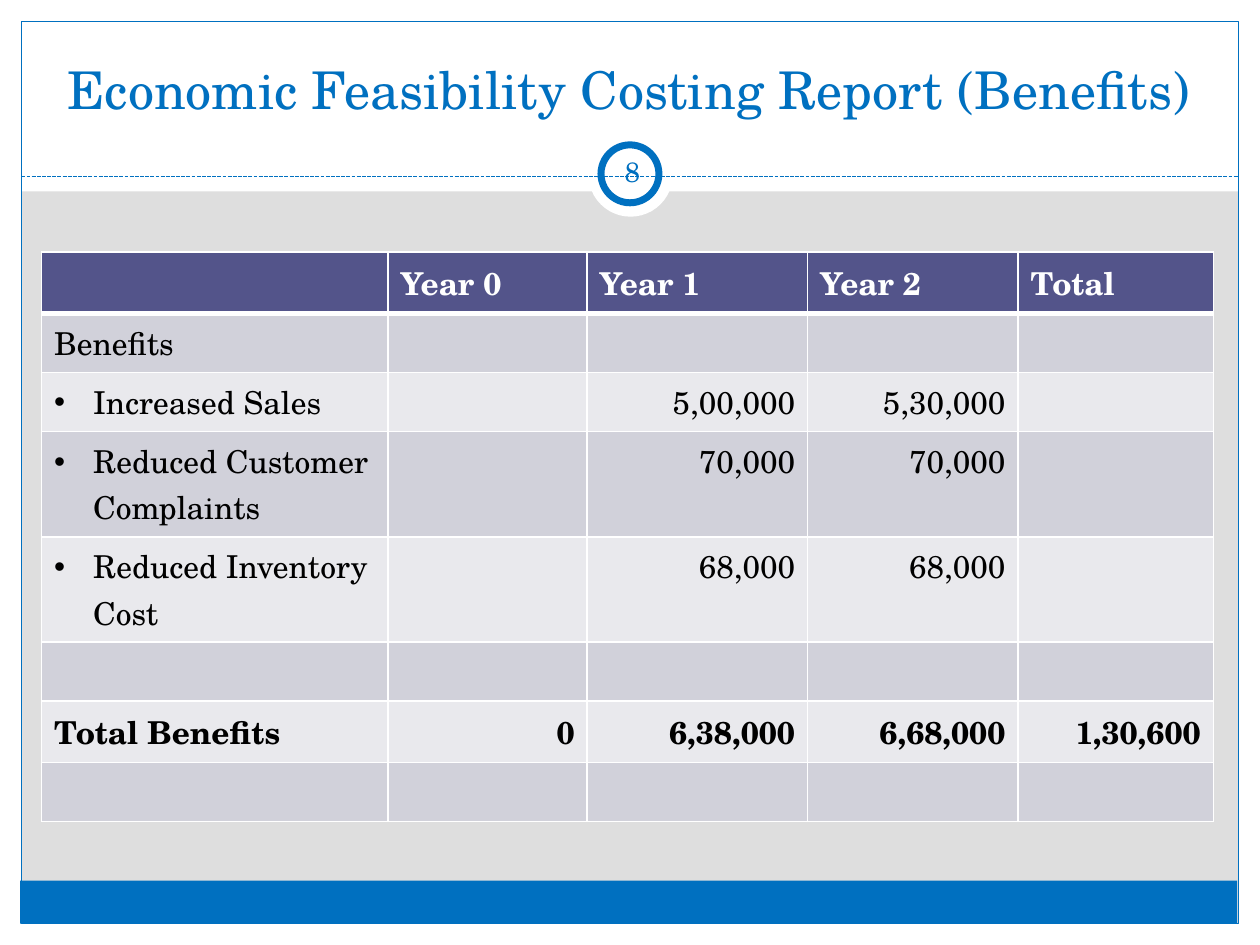
from dataclasses import dataclass
from typing import Optional

import pptx
import pptx.dml.color
import pptx.enum.dml
import pptx.enum.shapes
import pptx.enum.text
import pptx.oxml
import pptx.oxml.ns
import pptx.util
from lxml import etree

Inches = pptx.util.Inches
Pt = pptx.util.Pt
RGBColor = pptx.dml.color.RGBColor
Shape = pptx.enum.shapes.MSO_SHAPE
Align = pptx.enum.text.PP_ALIGN
Anchor = pptx.enum.text.MSO_ANCHOR
qn = pptx.oxml.ns.qn

FONT = "TeX Gyre Schola"
BLUE = RGBColor(0x00, 0x70, 0xC0)
WHITE = RGBColor(0xFF, 0xFF, 0xFF)
BLACK = RGBColor(0x00, 0x00, 0x00)
GREY = RGBColor(0xDE, 0xDE, 0xDE)
HEADER = RGBColor(0x53, 0x54, 0x8A)
BAND_DARK = RGBColor(0xD1, 0xD1, 0xDA)
BAND_LIGHT = RGBColor(0xE9, 0xE9, 0xED)


@dataclass
class Panel:
    left: float
    top: float
    width: float
    height: float
    fill: Optional[RGBColor] = WHITE
    line_pt: float = 0
    kind: Shape = Shape.RECTANGLE


@dataclass
class Row:
    values: tuple
    height: float = 0.47
    bold: bool = False
    bullet: bool = False


PANELS = [
    Panel(0, 7.33, 10, 0.17),
    Panel(0, 0, 10, 1.52),
    Panel(0, 0, 0.17, 7.5),
    Panel(9.83, 0, 0.17, 7.5),
    Panel(0.16, 6.99, 9.66, 0.34, BLUE),
    Panel(0.17, 0.17, 9.66, 7.16, None, 0.75),
    Panel(4.67, 1.05, 0.67, 0.67, kind=Shape.OVAL),
    Panel(4.77, 1.15, 0.46, 0.46, line_pt=4, kind=Shape.OVAL),
]
COLUMNS = [2.75, 1.58, 1.75, 1.67, 1.55]
ROWS = [
    Row(("", "Year 0", "Year 1", "Year 2", "Total"), 0.48, bold=True),
    Row(("Benefits", "", "", "", "")),
    Row(("Increased Sales", "", "5,00,000", "5,30,000", ""), bullet=True),
    Row(("Reduced Customer Complaints", "", "70,000", "70,000", ""), 0.83, bullet=True),
    Row(("Reduced Inventory Cost", "", "68,000", "68,000", ""), 0.83, bullet=True),
    Row(("", "", "", "", "")),
    Row(("Total Benefits", "0", "6,38,000", "6,68,000", "1,30,600"), 0.48, bold=True),
    Row(("", "", "", "", "")),
]


def add_panel(shapes, panel: Panel) -> None:
    box = map(Inches, (panel.left, panel.top, panel.width, panel.height))
    sp = shapes.add_shape(panel.kind, *box)
    sp.shadow.inherit = False
    if panel.fill is None:
        sp.fill.background()
    else:
        sp.fill.solid()
        sp.fill.fore_color.rgb = panel.fill
    if panel.line_pt:
        sp.line.color.rgb = BLUE
        sp.line.width = Pt(panel.line_pt)
    else:
        sp.line.fill.background()


def add_divider(shapes) -> None:
    line = shapes.add_connector(pptx.enum.shapes.MSO_CONNECTOR.STRAIGHT,
                                Inches(0.17), Inches(1.4), Inches(9.83), Inches(1.4))
    line.line.color.rgb = BLUE
    line.line.width = Pt(0.75)
    line.line.dash_style = pptx.enum.dml.MSO_LINE.SQUARE_DOT
    etree.SubElement(line._element.spPr, qn("a:effectLst"))


def add_text(p, text: str, size: float, color: RGBColor,
             align=Align.LEFT, bold: bool = False) -> None:
    p.alignment = align
    r = p.add_run()
    r.text = text
    r.font.name = FONT
    r.font.size = Pt(size)
    r.font.bold = bold
    r.font.color.rgb = color


def set_borders(cell, bottom_pt: float, top_pt: float) -> None:
    tc_pr = cell._tc.get_or_add_tcPr()
    sides = {"L": 1, "R": 1, "T": top_pt, "B": bottom_pt}
    for index, (side, width) in enumerate(sides.items()):
        ln = etree.Element(qn(f"a:ln{side}"), w=str(Pt(width)))
        fill = etree.SubElement(ln, qn("a:solidFill"))
        etree.SubElement(fill, qn("a:srgbClr"), val=str(WHITE))
        tc_pr.insert(index, ln)


def set_bullet(p) -> None:
    p_pr = p._p.get_or_add_pPr()
    p_pr.set("marL", str(Inches(0.31)))
    p_pr.set("indent", str(-Inches(0.31)))
    etree.SubElement(p_pr, qn("a:buFont"), typeface="Arial")
    etree.SubElement(p_pr, qn("a:buChar"), char="•")


def add_benefits_table(shapes) -> None:
    table = shapes.add_table(len(ROWS), len(COLUMNS), Inches(0.33), Inches(2),
                             Inches(sum(COLUMNS)),
                             Inches(sum(row.height for row in ROWS))).table
    table.horz_banding = False
    for column, width in zip(table.columns, COLUMNS):
        column.width = Inches(width)
    for i, row in enumerate(ROWS):
        table.rows[i].height = Inches(row.height)
        is_header = i == 0
        fill = HEADER if is_header else BAND_DARK if i % 2 else BAND_LIGHT
        for j, value in enumerate(row.values):
            cell = table.cell(i, j)
            cell.fill.solid()
            cell.fill.fore_color.rgb = fill
            set_borders(cell, 3 if is_header else 1, 3 if i == 1 else 1)
            if not value:
                continue
            p = cell.text_frame.paragraphs[0]
            align = Align.LEFT if is_header or j == 0 else Align.RIGHT
            add_text(p, value, 18, WHITE if is_header else BLACK, align, row.bold)
            if row.bullet and j == 0:
                set_bullet(p)


def place_title(shapes) -> None:
    """Fill the title placeholder and bring it in front of the white band."""
    title = shapes.title
    title.left, title.top = Inches(0.33), Inches(0.17)
    title.width, title.height = Inches(9.33), Inches(0.83)
    tf = title.text_frame
    tf.auto_size = pptx.enum.text.MSO_AUTO_SIZE.NONE
    tf.vertical_anchor = Anchor.BOTTOM
    add_text(tf.paragraphs[0], "Economic Feasibility Costing Report (Benefits)",
             29.7, BLUE, Align.CENTER)
    shapes._spTree.append(title._element)


def add_page_number(shapes) -> None:
    sp = shapes.add_textbox(Inches(4.77), Inches(1.12), Inches(0.5), Inches(0.48))
    tf = sp.text_frame
    tf.word_wrap = True
    tf.vertical_anchor = Anchor.MIDDLE
    tf.margin_left = tf.margin_right = tf.margin_top = tf.margin_bottom = Inches(0.05)
    add_text(tf.paragraphs[0], "8", 16, BLUE, Align.CENTER)


def main() -> None:
    prs = pptx.Presentation()
    prs.slide_width, prs.slide_height = Inches(10), Inches(7.5)
    s = prs.slides.add_slide(prs.slide_layouts.get_by_name("Title Only"))
    s.background.fill.solid()
    s.background.fill.fore_color.rgb = GREY
    for panel in PANELS:
        add_panel(s.shapes, panel)
    add_divider(s.shapes)
    place_title(s.shapes)
    add_benefits_table(s.shapes)
    add_page_number(s.shapes)
    prs.save("out.pptx")


if __name__ == "__main__":
    main()
